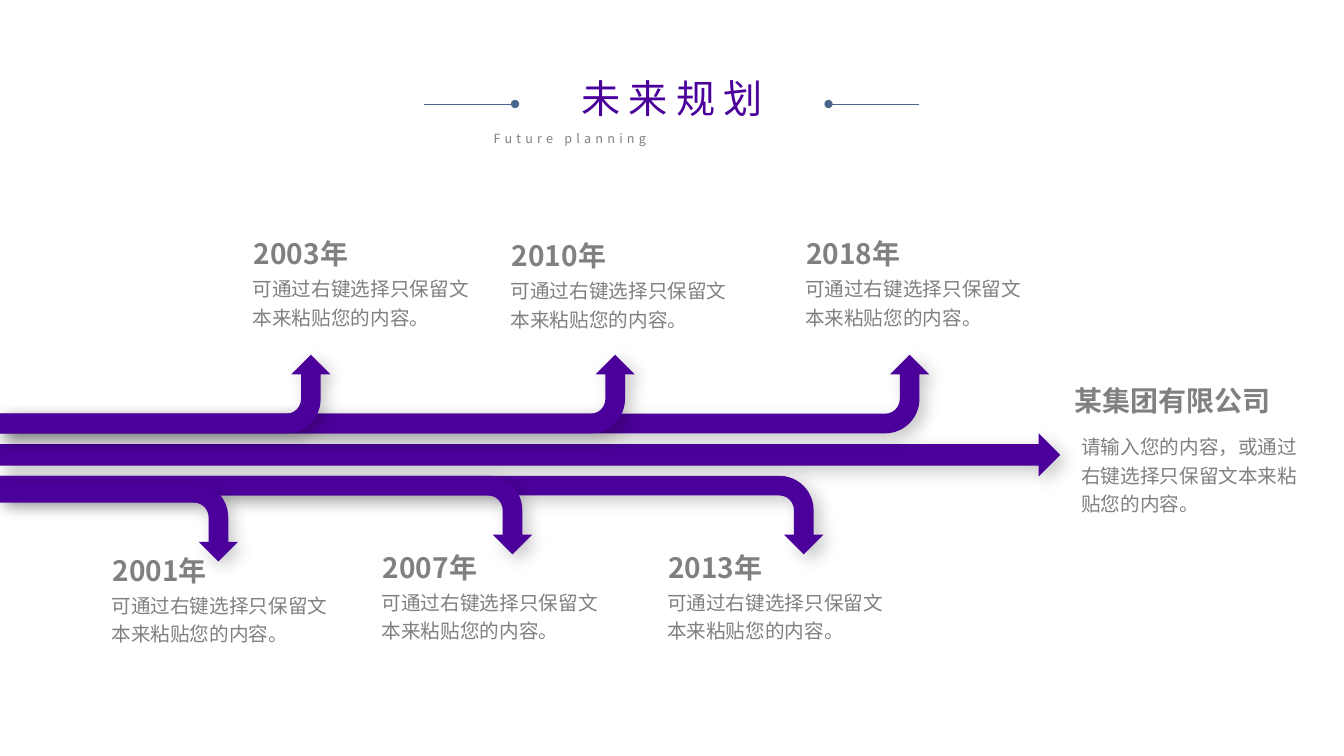
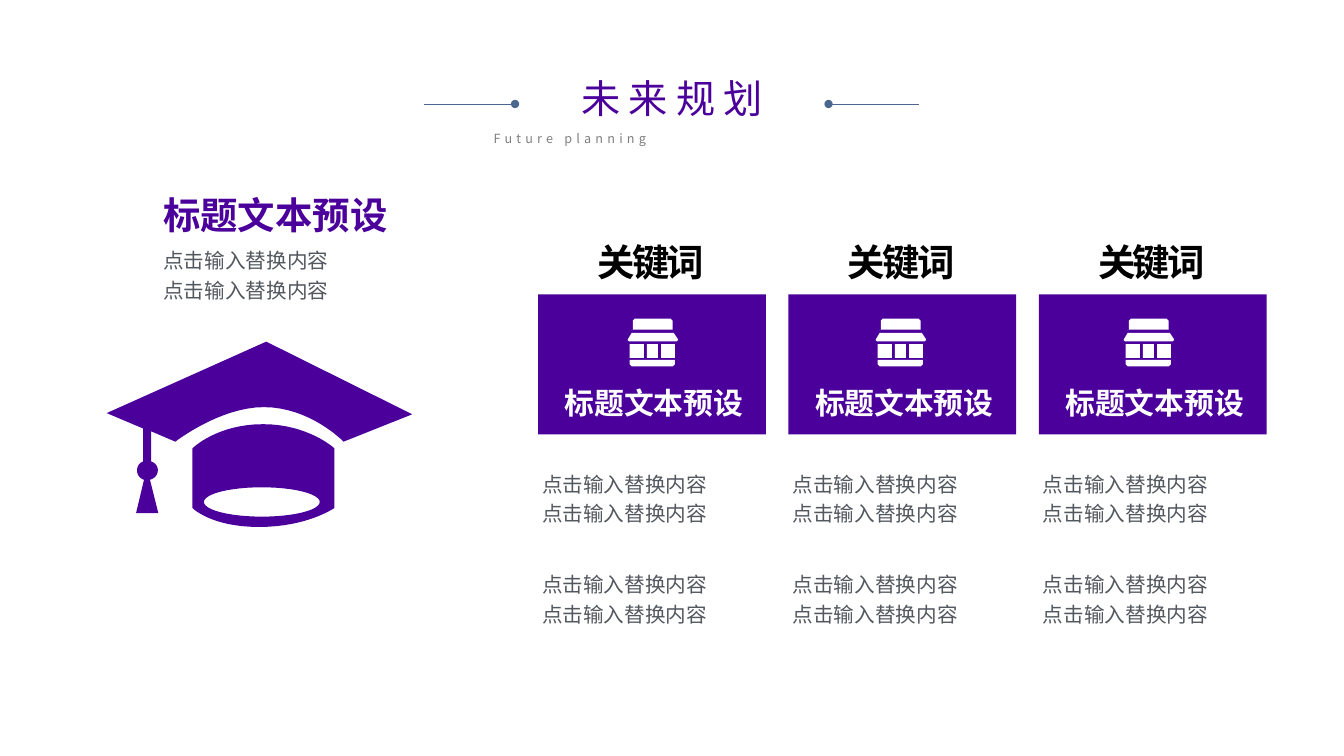
import math
from dataclasses import dataclass

from lxml import etree
from pptx import Presentation
from pptx.dml.color import RGBColor
from pptx.enum.shapes import MSO_CONNECTOR, MSO_SHAPE
from pptx.enum.text import MSO_ANCHOR, MSO_AUTO_SIZE, PP_ALIGN
from pptx.oxml.ns import qn
from pptx.util import Cm, Pt

FONT = "Noto Sans CJK SC"
PURPLE = RGBColor(0x4B, 0x00, 0x9B)
SLATE = RGBColor(0x4C, 0x67, 0x8E)
GRAY = RGBColor(0x80, 0x80, 0x80)
DARK_GRAY = RGBColor(0x53, 0x58, 0x5F)
BLACK = RGBColor(0x00, 0x00, 0x00)
WHITE = RGBColor(0xFF, 0xFF, 0xFF)

LEFT, CENTER, JUSTIFY = PP_ALIGN.LEFT, PP_ALIGN.CENTER, PP_ALIGN.JUSTIFY
TOP, MIDDLE = MSO_ANCHOR.TOP, MSO_ANCHOR.MIDDLE
RECT, BENT, RIGHT = MSO_SHAPE.RECTANGLE, MSO_SHAPE.BENT_ARROW, MSO_SHAPE.RIGHT_ARROW
STRAIGHT = MSO_CONNECTOR.STRAIGHT
NO_FIT = MSO_AUTO_SIZE.NONE

Point = tuple[float, float]
Box = tuple[float, float, float, float]


@dataclass(frozen=True)
class Style:
    size: float
    color: RGBColor
    bold: bool = False
    align: PP_ALIGN = LEFT
    leading: float = 1.0
    tracking: float = 0
    anchor: MSO_ANCHOR = TOP
    inset: Point = (0.25, 0.13)


@dataclass(frozen=True)
class Milestone:
    year: str
    x: float
    y: float
    reach: float
    arrow_top: float
    up: bool


TITLE = Style(28, PURPLE, align=CENTER, tracking=6)
SUBTITLE = Style(9, GRAY, align=JUSTIFY, tracking=3)
YEAR = Style(20, GRAY, bold=True)
COMPANY = Style(20, GRAY, bold=True, align=CENTER)
DETAIL = Style(14, GRAY, leading=1.2)
CAP_TITLE = Style(26.7, PURPLE, bold=True, inset=(0, 0))
CAP_LIST = Style(14.7, DARK_GRAY, leading=1.2, inset=(0, 0))
KEYWORD = Style(26.7, BLACK, bold=True, align=CENTER, tracking=-2,
                anchor=MIDDLE, inset=(0.33, 0.18))
CARD_TITLE = Style(21.3, WHITE, bold=True, align=CENTER, anchor=MIDDLE)
CARD_LIST = Style(14.7, DARK_GRAY, leading=1.2, anchor=MIDDLE)

# Longest arrows first, so that shorter ones lie on top
MILESTONES = [
    Milestone("2018年", 20.07, 5.84, 23.42, 8.94, True),
    Milestone("2013年", 16.59, 13.74, 20.75, 11.99, False),
    Milestone("2010年", 12.65, 5.89, 16, 8.94, True),
    Milestone("2003年", 6.15, 5.84, 8.33, 8.94, True),
    Milestone("2007年", 9.4, 13.74, 13.41, 11.99, False),
    Milestone("2001年", 2.59, 13.82, 6, 12.17, False),
]
ARROW_DEPTH = 1.98
MILESTONE_TEXT = "可通过右键选择只保留文本来粘贴您的内容。"
LIST_TEXT = "点击输入替换内容\n点击输入替换内容"
CARD_COUNT, CARD_LEFT, CARD_PITCH, ICON_PITCH = 3, 13.56, 6.31, 6.25


def place(shape, box: Box) -> None:
    shape.left, shape.top, shape.width, shape.height = map(Cm, box)


def write(shape, text: str, style: Style) -> None:
    """Fill a text box or placeholder with styled text."""
    tf = shape.text_frame
    tf.text = text
    tf.word_wrap = True
    tf.auto_size = NO_FIT
    tf.vertical_anchor = style.anchor
    tf.margin_left = tf.margin_right = Cm(style.inset[0])
    tf.margin_top = tf.margin_bottom = Cm(style.inset[1])
    for p in tf.paragraphs:
        if shape.is_placeholder:
            pPr = p._p.get_or_add_pPr()
            pPr.set("marL", "0")
            pPr.set("indent", "0")
            etree.SubElement(pPr, qn("a:buNone"))
        p.alignment = style.align
        p.line_spacing = style.leading
        p.space_before = Pt(0)
        for r in p.runs:
            r.font.size = Pt(style.size)
            r.font.bold = style.bold
            r.font.color.rgb = style.color
            r.font.name = FONT
            rPr = r._r.get_or_add_rPr()
            etree.SubElement(rPr, qn("a:ea"), typeface=FONT)
            if style.tracking:
                rPr.set("spc", str(int(style.tracking * 100)))


def add_text(s, box: Box, text: str, style: Style) -> None:
    write(s.shapes.add_textbox(*map(Cm, box)), text, style)


def fill_placeholder(shape, box: Box, text: str, style: Style) -> None:
    place(shape, box)
    write(shape, text, style)


def paint(shape, color: RGBColor) -> None:
    shape.fill.solid()
    shape.fill.fore_color.rgb = color
    shape.line.fill.background()
    shape.shadow.inherit = False


def add_shape(s, kind: MSO_SHAPE, box: Box):
    shape = s.shapes.add_shape(kind, *map(Cm, box))
    paint(shape, PURPLE)
    return shape


def add_shadow(shape) -> None:
    effects = shape._element.spPr.find(qn("a:effectLst"))
    shadow = etree.SubElement(effects, qn("a:outerShdw"), blurRad=str(Pt(12)),
                              dist=str(Pt(5)), dir="2700000", algn="tl",
                              rotWithShape="0")
    color = etree.SubElement(shadow, qn("a:srgbClr"), val=str(BLACK))
    etree.SubElement(color, qn("a:alpha"), val="21000")


def add_bent_arrow(s, m: Milestone) -> None:
    """Run from the left slide edge, then bend up or down."""
    x = (m.reach - ARROW_DEPTH) / 2
    y = m.arrow_top - x
    arrow = add_shape(s, BENT, (x, y, ARROW_DEPTH, m.reach))
    arrow.rotation = 90
    if m.up:
        arrow._element.spPr.find(qn("a:xfrm")).set("flipH", "1")
    add_shadow(arrow)


def add_outline(s, contours: list[list[Point]], origin: Point, color: RGBColor) -> None:
    """Draw closed contours, given in cm from the origin, as one shape."""
    ox, oy = origin
    paths = [[(Cm(ox + x), Cm(oy + y)) for x, y in c] for c in contours]
    builder = s.shapes.build_freeform(*paths[0][0])
    builder.add_line_segments(paths[0][1:])
    for path in paths[1:]:
        builder.move_to(*path[0])
        builder.add_line_segments(path[1:])
    paint(builder.convert_to_shape(), color)


def curve(a: Point, b: Point, c: Point, d: Point, steps: int = 16) -> list[Point]:
    """Points along a cubic curve."""
    points = []
    for i in range(steps + 1):
        t = i / steps
        u = 1 - t
        weights = (u ** 3, 3 * u * u * t, 3 * u * t * t, t ** 3)
        points.append((sum(w * q[0] for w, q in zip(weights, (a, b, c, d))),
                       sum(w * q[1] for w, q in zip(weights, (a, b, c, d)))))
    return points


def ellipse(cx: float, cy: float, rx: float, ry: float, steps: int = 48) -> list[Point]:
    angles = [2 * math.pi * i / steps for i in range(steps)]
    return [(cx + rx * math.cos(a), cy + ry * math.sin(a)) for a in angles]


def rect(x1: float, y1: float, x2: float, y2: float) -> list[Point]:
    return [(x1, y1), (x2, y1), (x2, y2), (x1, y2)]


def add_header(s) -> None:
    """Title, subtitle and the two dotted rules shared by the slides."""
    fill_placeholder(s.shapes.title, (13.11, 1.73, 7.65, 1.45), "未来规划", TITLE)
    add_text(s, (12.19, 3.18, 9.5, 0.64), "Future planning", SUBTITLE)
    for start, end in ((10.69, 12.98), (23.16, 20.88)):
        rule = s.shapes.add_connector(STRAIGHT, Cm(start), Cm(2.62), Cm(end), Cm(2.62))
        rule.line.color.rgb = SLATE
        rule.line.width = Pt(0.5)
        spPr = rule._element.spPr
        etree.SubElement(spPr.find(qn("a:ln")), qn("a:tailEnd"), type="oval")
        etree.SubElement(spPr, qn("a:effectLst"))


def add_cap(s) -> None:
    board = (
        curve((8.66, 11.13), (8.66, 11.13), (7.82, 10.26), (6.65, 10.26))
        + curve((6.65, 10.26), (5.54, 10.26), (4.42, 11.13), (4.42, 11.13))
        + [(3.81, 10.87)]
        + curve((3.81, 11.63), (4.04, 11.7), (4.04, 12.02), (3.78, 12.09))
        + [(3.99, 12.93), (3.43, 12.93)]
        + curve((3.63, 12.09), (3.4, 12.02), (3.4, 11.7), (3.61, 11.63))
        + [(3.61, 10.8), (2.69, 10.41), (6.71, 8.61), (10.39, 10.44)]
    )
    crown = (
        curve((6.63, 10.69), (7.77, 10.69), (8.43, 11.3), (8.43, 11.3))
        + curve((8.43, 12.8), (8.43, 12.8), (7.75, 13.28), (6.53, 13.28))
        + curve((6.53, 13.28), (5.31, 13.28), (4.85, 12.8), (4.85, 12.8))
        + curve((4.85, 11.3), (4.85, 11.3), (5.46, 10.69), (6.63, 10.69))
    )
    opening = ellipse(6.6, 12.65, 1.46, 0.37)[::-1]
    add_outline(s, [board, crown, opening], (0, 0), PURPLE)


def add_shop_icon(s, origin: Point) -> None:
    base = [(0.05, 1.04), (1.19, 1.04), (1.19, 1.15), (1.14, 1.2), (0.1, 1.2), (0.05, 1.15)]
    windows = [rect(a, 0.64, b, 0.99) for a, b in ((0.05, 0.41), (0.48, 0.76), (0.84, 1.19))]
    awning = [(0.1, 0.36), (1.16, 0.36), (1.26, 0.51), (1.27, 0.54),
              (1.23, 0.57), (0.03, 0.57), (0, 0.54), (0.01, 0.51)]
    sign = [(0.18, 0), (1.08, 0), (1.13, 0.05), (1.13, 0.28), (0.13, 0.28), (0.13, 0.05)]
    add_outline(s, [base, *windows, awning, sign], origin, WHITE)


def build_timeline(prs) -> None:
    s = prs.slides.add_slide(prs.slide_layouts[1])
    add_header(s)
    # Arrows
    add_shadow(add_shape(s, RIGHT, (0, 10.92, 26.72, 1.09)))
    for m in MILESTONES:
        add_bent_arrow(s, m)
    # Captions
    for m in MILESTONES:
        add_text(s, (m.x, m.y, 3.61, 1.12), m.year, YEAR)
        add_text(s, (m.x - 0.03, m.y + 0.9, 6.17, 2.41), MILESTONE_TEXT, DETAIL)
    # Company at the end of the line
    add_text(s, (25.93, 9.53, 7.24, 1.12), "某集团有限公司", COMPANY)
    fill_placeholder(s.placeholders[1], (27, 10.72, 6.17, 3.12),
                     "请输入您的内容，或通过右键选择只保留文本来粘贴您的内容。", DETAIL)


def build_keywords(prs) -> None:
    s = prs.slides.add_slide(prs.slide_layouts[1])
    add_header(s)
    # Left column
    fill_placeholder(s.placeholders[1], (4.11, 6.12, 7.26, 2.21), LIST_TEXT, CAP_LIST)
    add_text(s, (4.11, 4.85, 7.26, 0.86), "标题文本预设", CAP_TITLE)
    add_cap(s)
    # Keyword cards
    for i in range(CARD_COUNT):
        x = CARD_LEFT + i * CARD_PITCH
        add_shape(s, RECT, (x, 7.42, 5.74, 3.53))
        add_text(s, (x, 6.02, 5.69, 1.14), "关键词", KEYWORD)
        add_text(s, (x + 0.15, 9.63, 5.54, 1.02), "标题文本预设", CARD_TITLE)
        for y in (11.63, 14.17):
            add_text(s, (x - 0.15, y, 5.99, 1.75), LIST_TEXT, CARD_LIST)
        add_shop_icon(s, (15.82 + i * ICON_PITCH, 8.03))


def main() -> None:
    prs = Presentation()
    prs.slide_width, prs.slide_height = Cm(33.87), Cm(19.05)
    build_timeline(prs)
    build_keywords(prs)
    prs.save("out.pptx")


if __name__ == "__main__":
    main()
